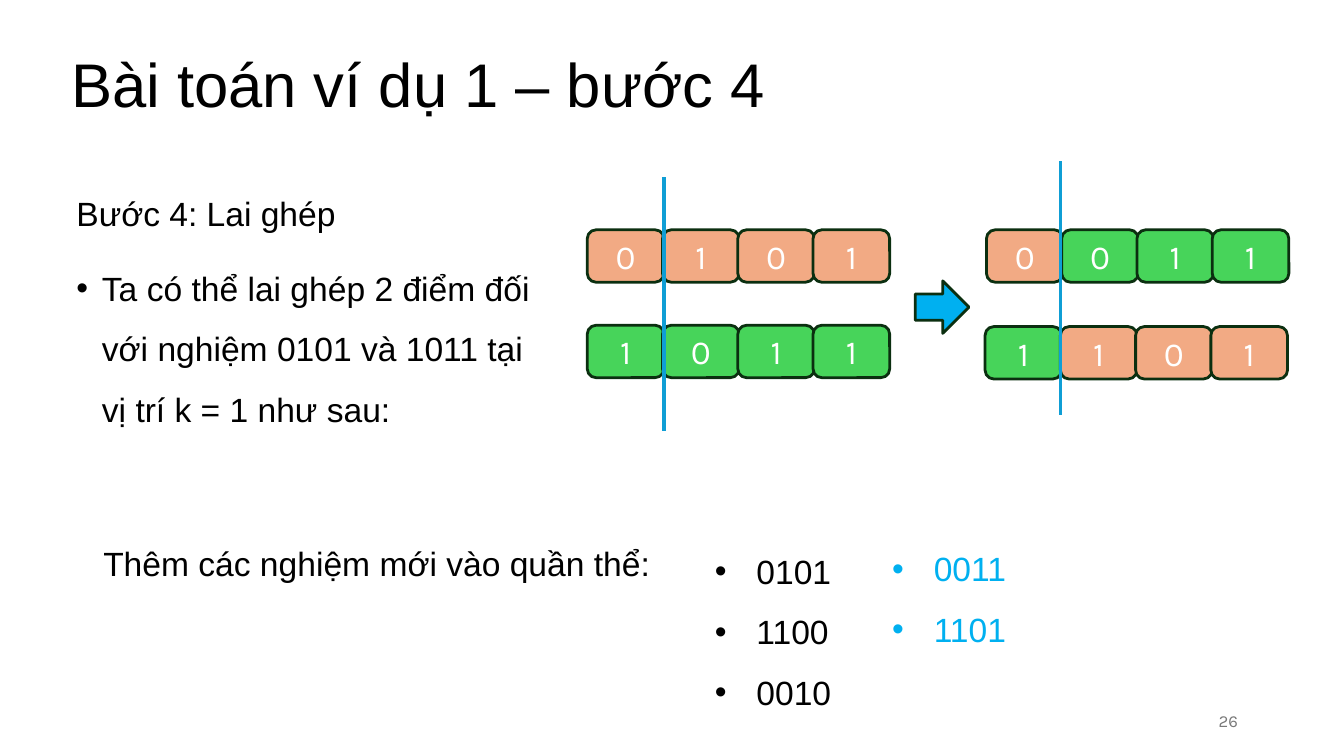
from lxml import etree
from pptx import Presentation
from pptx.dml.color import RGBColor
from pptx.enum import shapes, text
from pptx.oxml.ns import qn
from pptx.util import Inches, Pt

COLORS = {"black": "000000", "white": "FFFFFF", "gray": "797979", "orange": "F2AA84",
          "green": "47D45A", "outline": "0B2F10", "cut": "0F9ED5", "blue": "00B0F0"}
TOP, MIDDLE = text.MSO_ANCHOR.TOP, text.MSO_ANCHOR.MIDDLE
CENTER, RIGHT = text.PP_ALIGN.CENTER, text.PP_ALIGN.RIGHT
CELL_WIDTH, CELL_HEIGHT, CELL_STEP = 0.57, 0.39, 0.56

BODY = {"size": 18, "font": "Arial", "color": "black"}
GENE = {"size": 18, "font": "Karla", "color": "white", "align": CENTER}
SPACED = {**BODY, "line_spacing": 1.5}
BULLETED = {**SPACED, "indent": 0.31}

passages = [
    ((0.43, 0.11, 8.62, 1.09), MIDDLE,
     [("Bài toán ví dụ 1 – bước 4", {**BODY, "size": 33, "line_spacing": 0.9})]),
    ((0.47, 1.24, 3.62, 1.97), TOP,
     [("Bước 4: Lai ghép", SPACED),
      ("Ta có thể lai ghép 2 điểm đối với nghiệm 0101 và 1011 tại vị trí k = 1 như sau:",
       {**SPACED, "indent": 0.19, "space_before": Pt(7.5)})]),
    ((7.06, 5.21, 2.25, 0.3), MIDDLE,
     [("26", {"size": 9, "font": "Karla", "color": "gray", "align": RIGHT})]),
    ((0.67, 3.99, 4.41, 0.4), TOP, [("Thêm các nghiệm mới vào quần thể:", BODY)]),
    ((5.22, 3.9, 1.28, 1.41), TOP, [(s, BULLETED) for s in ("0101", "1100", "0010")]),
    ((6.54, 3.88, 1.36, 0.95), TOP,
     [(s, {**BULLETED, "color": "blue"}) for s in ("0011", "1101")]),
]

chromosomes = [
    (4.37, 1.71, "0101", ["orange"] * 4),
    (4.37, 2.42, "1011", ["green"] * 4),
    (7.34, 1.71, "0011", ["orange"] + ["green"] * 3),
    (7.33, 2.43, "1101", ["green"] + ["orange"] * 3),
]
cuts = [(4.94, 1.32), (7.89, 1.2)]
CUT_LENGTH = 1.89


def rgb(name):
    return RGBColor.from_string(COLORS[name])


def add_bullet(paragraph, indent):
    properties = paragraph._p.get_or_add_pPr()
    properties.set("marL", str(Inches(indent)))
    properties.set("indent", str(-Inches(indent)))
    etree.SubElement(properties, qn("a:buFont")).set("typeface", "Arial")
    etree.SubElement(properties, qn("a:buChar")).set("char", "•")


def write(frame, lines, anchor):
    frame.word_wrap = True
    frame.vertical_anchor = anchor
    for index, (line, style) in enumerate(lines):
        paragraph = frame.add_paragraph() if index else frame.paragraphs[0]
        if "indent" in style:
            add_bullet(paragraph, style["indent"])
        formats = {"alignment": style.get("align"),
                   "line_spacing": style.get("line_spacing"),
                   "space_before": style.get("space_before", Pt(0))}
        for name, value in formats.items():
            setattr(paragraph, name, value)
        run = paragraph.add_run()
        run.text = line
        for name, value in {"size": Pt(style["size"]), "name": style["font"]}.items():
            setattr(run.font, name, value)
        run.font.color.rgb = rgb(style["color"])


def add_block(slide, kind, place, color):
    block = slide.shapes.add_shape(kind, *map(Inches, place))
    block.shadow.inherit = False
    block.fill.solid()
    block.fill.fore_color.rgb = rgb(color)
    block.line.color.rgb = rgb("outline")
    block.line.width = Pt(1.5)
    return block


def add_cut(slide, x, top):
    cut = slide.shapes.add_connector(
        shapes.MSO_CONNECTOR.STRAIGHT, *map(Inches, (x, top, x, top + CUT_LENGTH)))
    cut.line.color.rgb = rgb("cut")
    cut.line.width = Pt(2)
    etree.SubElement(cut._element.spPr, qn("a:effectLst"))


def main():
    deck = Presentation()
    deck.slide_width = Inches(10)
    deck.slide_height = deck.slide_width * 9 // 16
    slide = deck.slides.add_slide(deck.slide_layouts[6])
    for place, anchor, lines in passages:
        write(slide.shapes.add_textbox(*map(Inches, place)).text_frame, lines, anchor)
    for left, top, genes, fills in chromosomes:
        for index, (gene, fill) in enumerate(zip(genes, fills)):
            place = (left + index * CELL_STEP, top, CELL_WIDTH, CELL_HEIGHT)
            cell = add_block(slide, shapes.MSO_SHAPE.ROUNDED_RECTANGLE, place, fill)
            write(cell.text_frame, [(gene, GENE)], MIDDLE)
    add_block(slide, shapes.MSO_SHAPE.RIGHT_ARROW, (6.81, 2.09, 0.4, 0.39), "blue")
    for x, top in cuts:
        add_cut(slide, x, top)
    deck.save("out.pptx")


if __name__ == "__main__":
    main()
